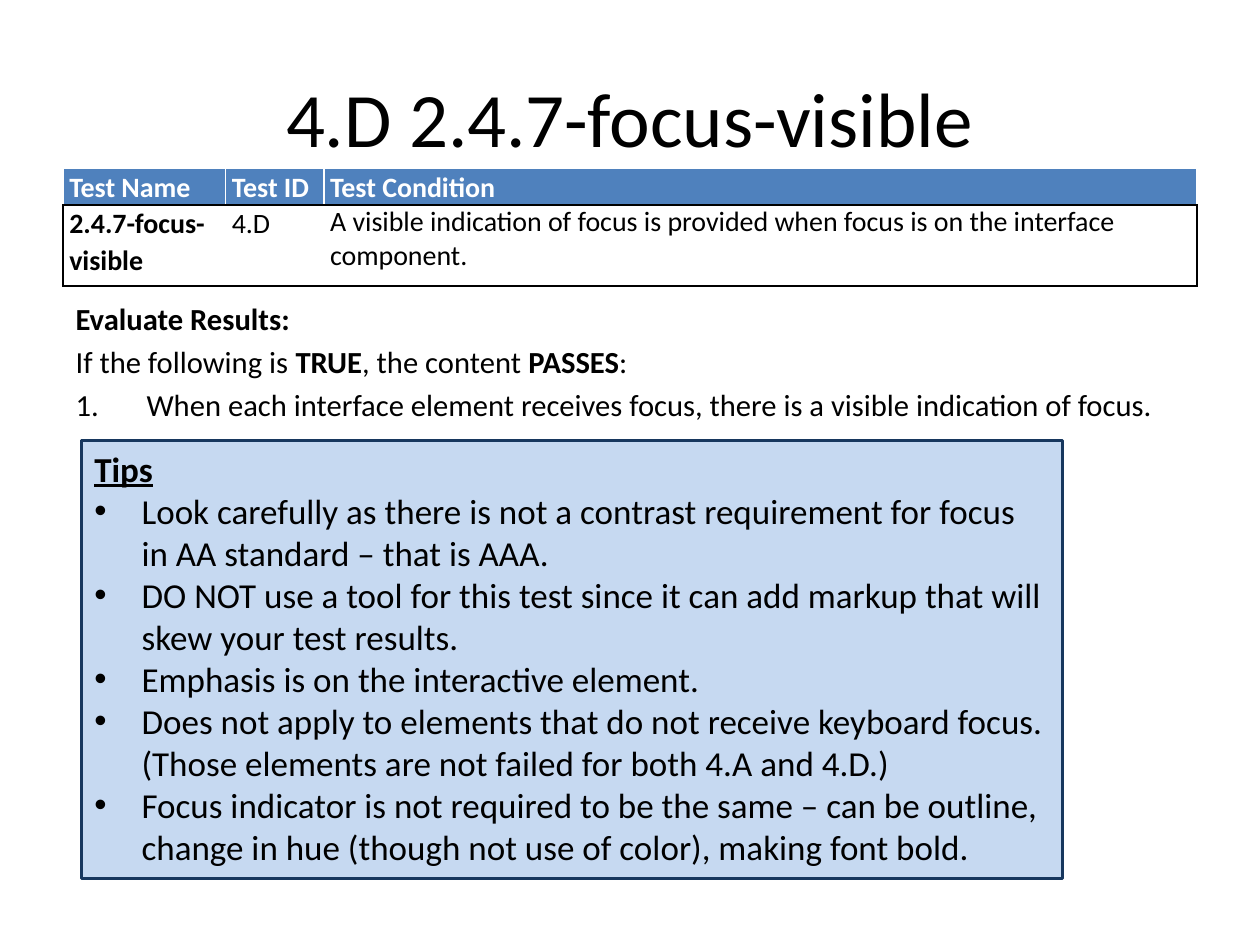
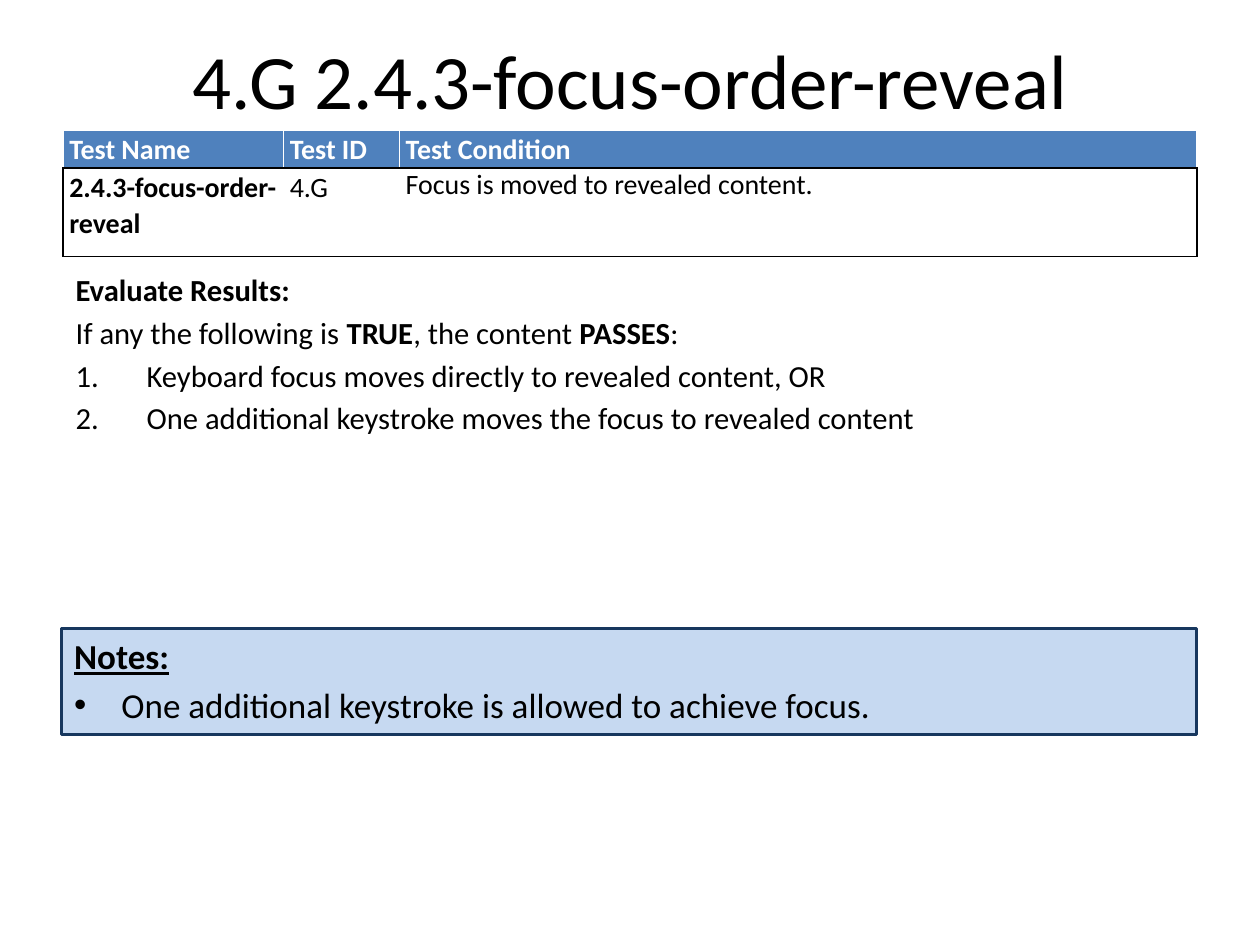
from dataclasses import dataclass

from lxml import etree
from pptx import Presentation
from pptx import util as u
from pptx.dml.color import RGBColor
from pptx.enum import shapes, text
from pptx.oxml import ns


@dataclass(frozen=True)
class Theme:
    face: str = "Calibri"
    ink: str = "000000"
    white: str = "FFFFFF"
    head: str = "4F81BD"
    pale: str = "C6D9F1"
    edge: str = "17375E"
    title: float = 44
    cell: float = 16
    body: float = 17.5
    note: float = 20


@dataclass(frozen=True)
class Box:
    x: float
    y: float
    w: float
    h: float


@dataclass(frozen=True)
class Grid:
    title: Box
    cols: tuple[float, ...]
    rows: tuple[float, ...]
    top: float
    body: Box
    note: Box


@dataclass(frozen=True)
class Page:
    name: str
    code: str
    rule: str
    lead: str
    steps: tuple[str, ...]
    label: str
    tips: tuple[str, ...]
    gap: float
    grid: Grid


THEME = Theme()
HEADS = ("Test Name", "Test ID", "Test Condition")
WIDE, HIGH = u.Inches(10), u.Inches(7.5)
COLS, ROWS = 100, 75
LEFT = 5

PAGES = (
    Page(
        "2.4.7-focus-visible", "4.D",
        "A visible indication of focus is provided when focus is on the interface component.",
        "If the following is *TRUE*, the content *PASSES*:",
        ("When each interface element receives focus, there is a visible indication of focus.",),
        "Tips",
        (
            "Look carefully as there is not a contrast requirement for focus in AA standard – that is AAA.",
            "DO NOT use a tool for this test since it can add markup that will skew your test results.",
            "Emphasis is on the interactive element.",
            "Does not apply to elements that do not receive keyboard focus. "
            "(Those elements are not failed for both 4.A and 4.D.)",
            "Focus indicator is not required to be the same – can be outline, "
            "change in hue (though not use of color), making font bold.",
        ),
        0,
        Grid(Box(LEFT, 3, 90, 12.5), (12.9, 7.8, 69.3), (2.85, 6.45), 13.35,
             Box(LEFT, 23.3, 90.8, 10), Box(6.5, 35, 77.8, 34.7)),
    ),
    Page(
        "2.4.3-focus-order-reveal", "4.G",
        "Focus is moved to revealed content.",
        "If any the following is *TRUE*, the content *PASSES*:",
        (
            "Keyboard focus moves directly to revealed content, OR",
            "One additional keystroke moves the focus to revealed content",
        ),
        "Notes:",
        ("One additional keystroke is allowed to achieve focus.",),
        4,
        Grid(Box(LEFT, 0, 90, 12.5), (17.5, 9.2, 63.3), (3, 7), 10.35,
             Box(LEFT, 21, 90.8, 12.5), Box(4.9, 49.9, 90.1, 8.4)),
    ),
)


def across(n: float) -> int:
    return round(WIDE * n / COLS)


def down(n: float) -> int:
    return round(HIGH * n / ROWS)


def frame(box: Box) -> tuple[int, int, int, int]:
    return across(box.x), down(box.y), across(box.w), down(box.h)


def place(shape, box: Box) -> None:
    shape.left, shape.top, shape.width, shape.height = frame(box)


def style(para, size: float, ink: str = THEME.ink, bold: bool = False) -> None:
    font = para.font
    font.name, font.size, font.bold = THEME.face, u.Pt(size), bold
    font.color.rgb = RGBColor.from_string(ink)


def mark(para, kind: str, hang: float = 0, **attrs: str) -> None:
    props = para._p.get_or_add_pPr()
    props.set("marL", str(across(hang)))
    props.set("indent", str(-across(hang)))
    if kind == "buChar":
        etree.SubElement(props, ns.qn("a:buFont"), typeface="Arial")
    etree.SubElement(props, ns.qn(f"a:{kind}"), attrs)


def lines(frame, count: int) -> list:
    return [frame.paragraphs[0]] + [frame.add_paragraph() for _ in range(count - 1)]


def rich(para, words: str) -> None:
    for i, part in enumerate(words.split("*")):
        run = para.add_run()
        run.text = part
        if i % 2:
            run.font.bold = True


def border(cell, inks: tuple[str, str, str, str]) -> None:
    props = cell._tc.get_or_add_tcPr()
    for i, (side, ink) in enumerate(zip("LRTB", inks)):
        line = etree.Element(ns.qn(f"a:ln{side}"), w=str(u.Pt(1)))
        fill = etree.SubElement(line, ns.qn("a:solidFill"))
        etree.SubElement(fill, ns.qn("a:srgbClr"), val=ink)
        props.insert(i, line)


def fill_cell(cell, words: str, row: int, col: int) -> None:
    cell.margin_left = cell.margin_right = across(0.5)
    cell.margin_top = cell.margin_bottom = 0
    para = cell.text_frame.paragraphs[0]
    para.text = words
    head = row == 0
    if head or col < 2:
        para.line_spacing = 1.07
    style(para, THEME.cell, THEME.white if head else THEME.ink, head or col == 0)
    if head:
        cell.fill.solid()
        cell.fill.fore_color.rgb = RGBColor.from_string(THEME.head)
        border(cell, (THEME.white, THEME.white, THEME.white, THEME.ink))
    else:
        cell.fill.background()
        border(cell, (THEME.white if col else THEME.ink,
                      THEME.ink if col == 2 else THEME.white, THEME.ink, THEME.ink))


def add_test(slide, page: Page) -> None:
    grid = page.grid
    box = Box(LEFT, grid.top, sum(grid.cols), sum(grid.rows))
    data = (HEADS, (page.name, page.code, page.rule))
    table = slide.shapes.add_table(len(data), len(HEADS), *frame(box)).table
    table.horz_banding = False
    for col, wide in zip(table.columns, grid.cols):
        col.width = across(wide)
    for row, high in zip(table.rows, grid.rows):
        row.height = down(high)
    for r, row in enumerate(data):
        for c, words in enumerate(row):
            fill_cell(table.cell(r, c), words, r, c)


def add_title(slide, page: Page) -> None:
    title = slide.shapes.title
    place(title, page.grid.title)
    title.text_frame.text = f"{page.code} {page.name}"
    style(title.text_frame.paragraphs[0], THEME.title)


def add_body(slide, page: Page) -> None:
    body = slide.placeholders[1]
    place(body, page.grid.body)
    area = body.text_frame
    area.auto_size = text.MSO_AUTO_SIZE.NONE
    copy = ("Evaluate Results:", page.lead) + page.steps
    for i, (para, words) in enumerate(zip(lines(area, len(copy)), copy)):
        rich(para, words)
        if i < 2:
            mark(para, "buNone")
        else:
            mark(para, "buAutoNum", 5.63, type="arabicPeriod")
        para.space_before = u.Pt(THEME.body * 0.2)
        style(para, THEME.body, bold=i == 0)


def add_note(slide, page: Page) -> None:
    note = slide.shapes.add_shape(shapes.MSO_SHAPE.RECTANGLE, *frame(page.grid.note))
    note.shadow.inherit = False
    note.fill.solid()
    note.fill.fore_color.rgb = RGBColor.from_string(THEME.pale)
    note.line.color.rgb = RGBColor.from_string(THEME.edge)
    note.line.width = u.Pt(1.75)
    area = note.text_frame
    area.word_wrap = True
    area.auto_size = text.MSO_AUTO_SIZE.SHAPE_TO_FIT_TEXT
    area.vertical_anchor = text.MSO_ANCHOR.TOP
    copy = (page.label,) + page.tips
    for i, (para, words) in enumerate(zip(lines(area, len(copy)), copy)):
        para.text = words
        para.alignment = text.PP_ALIGN.LEFT
        if i:
            mark(para, "buChar", 3.75, char="•")
        para.space_before = u.Pt(page.gap if i else 12)
        style(para, THEME.note, bold=i == 0)
        para.font.underline = i == 0


def main() -> None:
    deck = Presentation()
    deck.slide_width, deck.slide_height = WIDE, HIGH
    for page in PAGES:
        slide = deck.slides.add_slide(deck.slide_layouts[1])
        add_title(slide, page)
        add_test(slide, page)
        add_body(slide, page)
        add_note(slide, page)
    deck.save("out.pptx")


if __name__ == "__main__":
    main()
